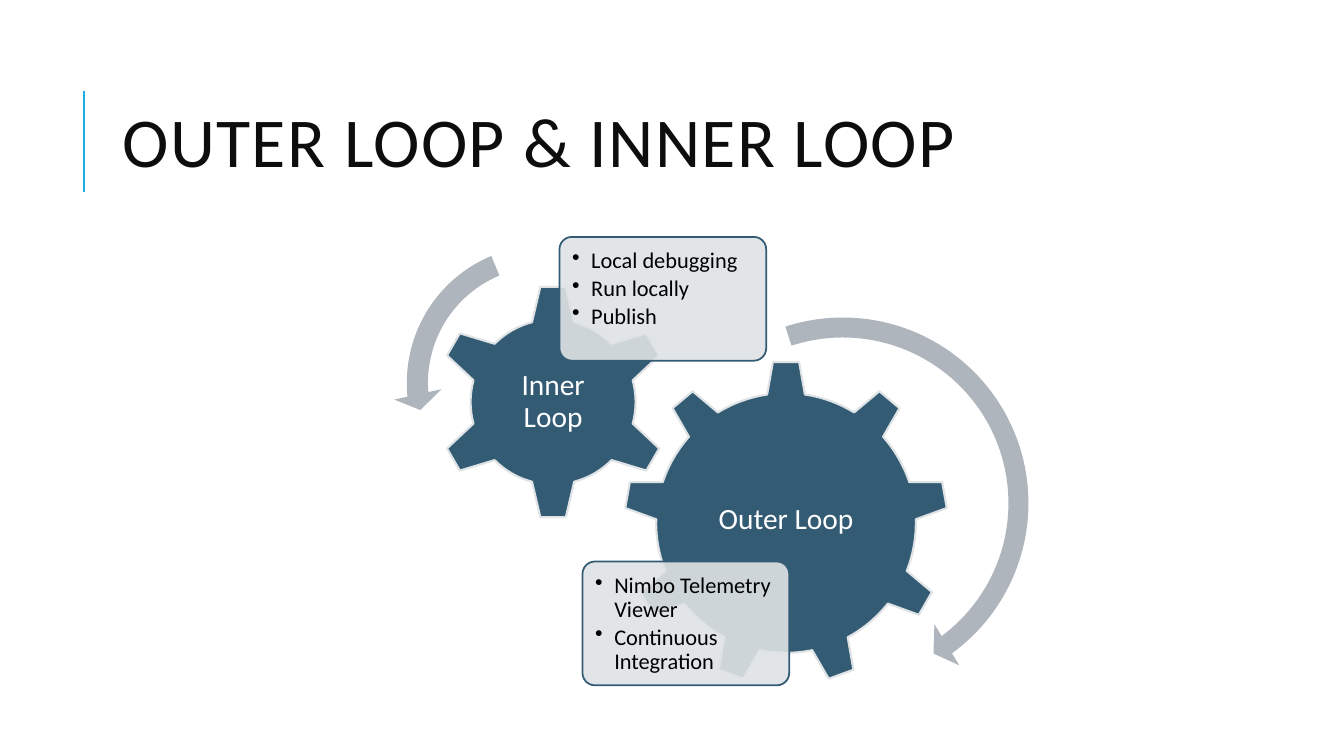
from lxml import etree
from pptx import Presentation
from pptx import util as u
from pptx.dml.color import RGBColor
from pptx.enum import shapes, text
from pptx.oxml.ns import qn

FONT = "Calibri"
GEAR, PALE, ARROW = "335B74", "DFE3E5", "AEB5BC"


def color(hex_code):
    return RGBColor.from_string(hex_code)


def add_text(frame, lines, size, ink, align=text.PP_ALIGN.LEFT, anchor=text.MSO_ANCHOR.TOP,
             inset=None, line_spacing=0.9, after=0, tracking=0, bullet=None, indent=0.48):
    frame.word_wrap = True
    frame.vertical_anchor = anchor
    if inset is not None:
        frame.margin_left = frame.margin_right = u.Cm(inset)
        frame.margin_top = frame.margin_bottom = u.Cm(inset)
    for i, line in enumerate(lines):
        p = frame.add_paragraph() if i else frame.paragraphs[0]
        p.alignment, p.line_spacing, p.space_after = align, line_spacing, u.Pt(after)
        run = p.add_run()
        run.text = line
        run.font.name, run.font.size = FONT, u.Pt(size)
        run.font.color.rgb = color(ink)
        if tracking:
            run.font._element.set("spc", str(tracking * 100))
        if bullet:
            props = p._p.get_or_add_pPr()
            props.set("marL", str(u.Cm(indent)))
            props.set("indent", str(-u.Cm(indent)))
            etree.SubElement(props, qn("a:buChar")).set("char", bullet)


def add_figure(slide, kind, box, fill, line=None, width=1.5, adjust=(), opacity=None):
    figure = slide.shapes.add_shape(kind, *map(u.Cm, box))
    figure.shadow.inherit = False
    figure.fill.solid()
    figure.fill.fore_color.rgb = color(fill)
    if opacity:
        tint = figure.fill._xPr.find(qn("a:solidFill"))[0]
        etree.SubElement(tint, qn("a:alpha")).set("val", str(opacity * 1000))
    if line:
        figure.line.color.rgb = color(line)
        figure.line.width = u.Pt(width)
    else:
        figure.line.fill.background()
    for i, value in enumerate(adjust):
        figure.adjustments[i] = value
    return figure


def heading(slide, box, title):
    left, top, width, height = box
    # Accent rule beside the title
    rule = slide.shapes.add_connector(
        shapes.MSO_CONNECTOR.STRAIGHT, u.Cm(left), u.Cm(top + 3.2), u.Cm(left), u.Cm(top + 0.66))
    rule.line.color.rgb = color("1CADE4")
    rule.line.width = u.Pt(1.5)
    etree.SubElement(rule._element.spPr, qn("a:effectLst"))
    # Title
    title_box = slide.shapes.add_textbox(
        u.Cm(left + 0.73), u.Cm(top), u.Cm(width - 0.73), u.Cm(height))
    add_text(title_box.text_frame, [title], 50, "0D0D0D", anchor=text.MSO_ANCHOR.MIDDLE,
             line_spacing=0.8, tracking=1)


def loop(slide, box, name, gear_kind, steps, steps_offset,
         arrow_kind, arrow_offset, arrow_size, arrow_adjust):
    left, top = box[:2]
    # Gear with the loop's name
    gear = add_figure(slide, gear_kind, box, GEAR, PALE)
    add_text(gear.text_frame, [name], 21, "FFFFFF", align=text.PP_ALIGN.CENTER,
             anchor=text.MSO_ANCHOR.MIDDLE, inset=0.07)
    # Card with the steps
    dx, dy = steps_offset
    card = add_figure(slide, shapes.MSO_SHAPE.ROUNDED_RECTANGLE, (left + dx, top + dy, 5.21, 3.12),
                      PALE, GEAR, width=1.25, adjust=[0.1], opacity=90)
    add_text(card.text_frame, steps, 16, "000000", inset=0.23, after=2.4, bullet="•")
    # Direction of rotation
    dx, dy = arrow_offset
    add_figure(slide, arrow_kind, (left + dx, top + dy, arrow_size, arrow_size),
               ARROW, adjust=arrow_adjust)


def main():
    deck = Presentation()
    deck.slide_width, deck.slide_height = u.Cm(33.87), u.Cm(19.05)
    slide = deck.slides.add_slide(deck.slide_layouts[6])

    heading(slide, (2.11, 1.63, 27.73, 4.17), "OUTER LOOP & INNER LOOP")
    loop(slide, (15.72, 9.09, 8.18, 8.18), "Outer Loop", shapes.MSO_SHAPE.GEAR_9,
         ["Nimbo Telemetry Viewer", "Continuous Integration"], (-1.04, 5.06),
         shapes.MSO_SHAPE.CIRCULAR_ARROW, (0.49, -1.44), 10.06,
         [0.05, 3.13, 32.21, 151.19, 0.06])
    loop(slide, (10.97, 7.16, 5.94, 5.94), "Inner Loop", shapes.MSO_SHAPE.GEAR_6,
         ["Local debugging", "Run locally", "Publish"], (3.13, -1.19),
         shapes.MSO_SHAPE.LEFT_CIRCULAR_ARROW, (-1.06, -1.32), 7.62,
         [0.07, 4.3, 104.89, 148.38, 0.08])

    deck.save("out.pptx")


if __name__ == "__main__":
    main()
